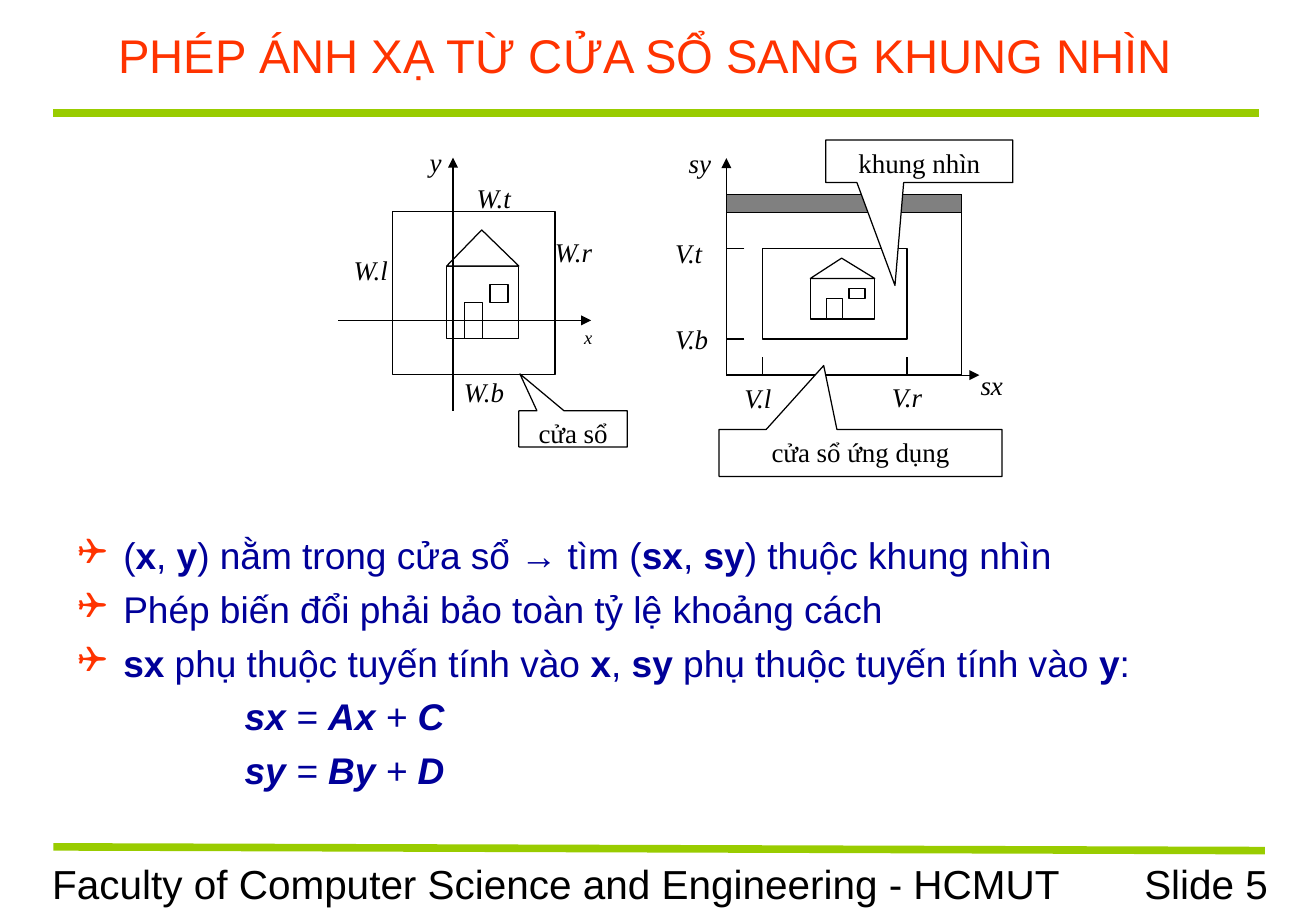
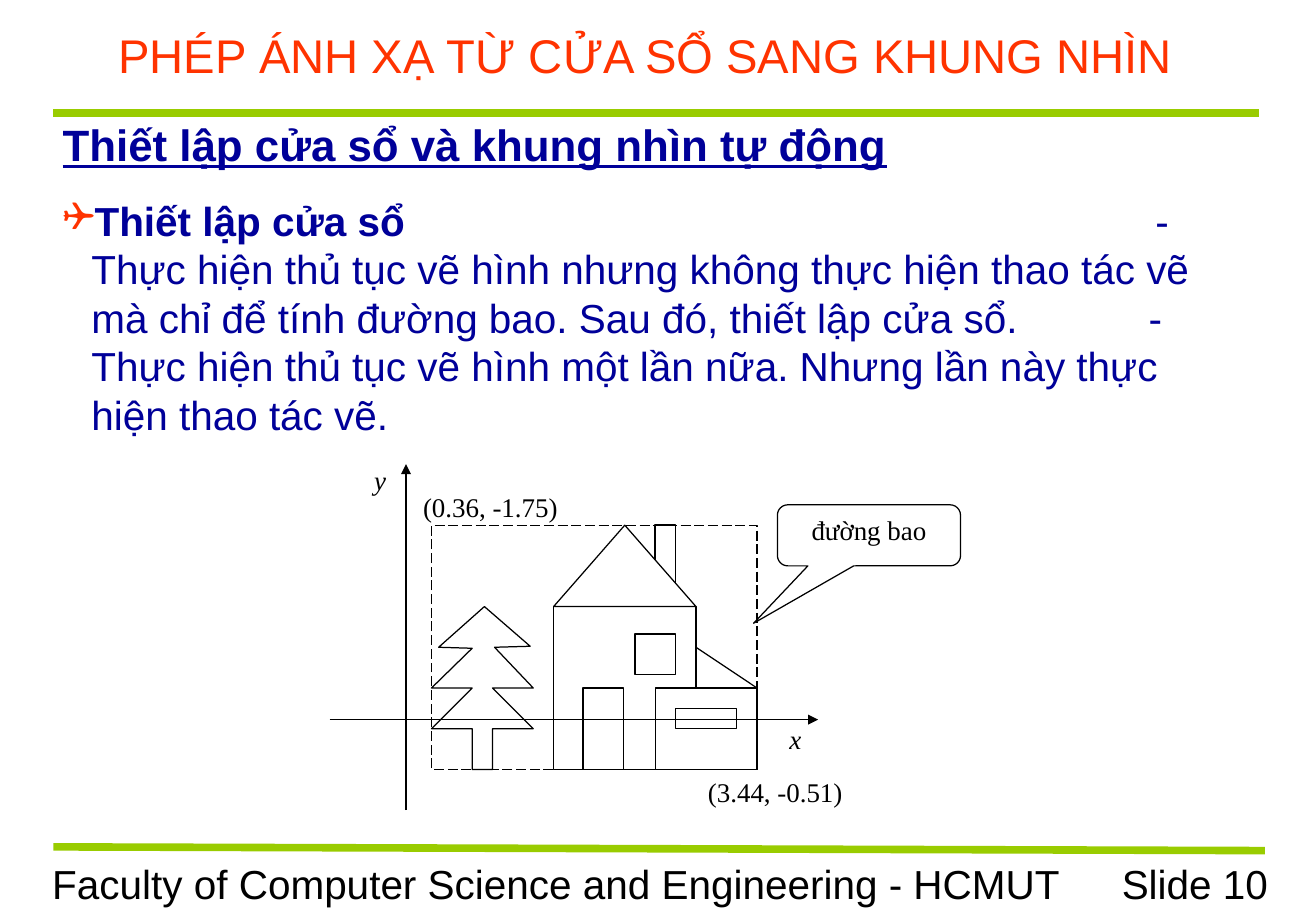
from dataclasses import dataclass
from typing import Any

from lxml.etree import SubElement
from pptx import Presentation
from pptx.dml.color import RGBColor
from pptx.enum.dml import MSO_LINE
from pptx.enum.shapes import MSO_CONNECTOR, MSO_SHAPE as Preset
from pptx.enum.text import MSO_ANCHOR as Anchor, PP_ALIGN as Align
from pptx.oxml.ns import qn
from pptx.util import Pt

COLORS = {
    "title": "FF3300",
    "body": "000099",
    "band": "99CC00",
    "ink": "000000",
    "paper": "FFFFFF",
    "menu": "808080",
}
SANS, SERIF = "Arial", "Times New Roman"
TITLE = "PHÉP ÁNH XẠ TỪ CỬA SỔ SANG KHUNG NHÌN"
FOOTER = "Faculty of Computer Science and Engineering - HCMUT"
INCH = 72
BANDS = [((31.7, 67), (746.6, 67)), ((31.7, 502), (750.2, 504.2))]

MAPPING_POINTS = [
    [("(", ""), ("x", "b"), (", ", ""), ("y", "b"),
     (") nằm trong cửa sổ → tìm (", ""), ("sx", "b"), (", ", ""),
     ("sy", "b"), (") thuộc khung nhìn", "")],
    [("Phép biến đổi phải bảo toàn tỷ lệ khoảng cách", "")],
    [("sx", "b"), (" phụ thuộc tuyến tính vào ", ""), ("x", "b"), (", ", ""),
     ("sy", "b"), (" phụ thuộc tuyến tính vào ", ""), ("y", "b"), (":", "")],
]
EQUATIONS = [
    [("\t\t\t", "i"), ("sx ", "bi"), ("= ", "i"), ("Ax", "bi"), (" + ", "i"), ("C", "bi")],
    [("\t\t\t", "i"), ("sy", "bi"), (" = ", "i"), ("By", "bi"), (" + ", "i"), ("D", "bi")],
]
SETUP_HEADING = "Thiết lập cửa sổ và khung nhìn tự động"
SETUP_STEPS = [
    ("Thiết lập cửa sổ" + "\t" * 8, "b"),
    ("-Thực hiện thủ tục vẽ hình nhưng không thực hiện thao tác vẽ mà chỉ "
     "để tính đường bao. Sau đó, thiết lập cửa sổ.\t\t- Thực hiện thủ tục vẽ "
     "hình một lần nữa. Nhưng lần này thực hiện thao tác vẽ.", ""),
]
TREE = [(3, 12), (3, 10), (5, 10), (3, 8), (5, 8), (3.1, 6), (4.85, 5.95),
        (2.6, 4), (0.35, 6), (2, 6.05), (0, 8), (2, 8), (0, 10), (2, 10), (2, 12)]


def rgb(name):
    """Return the named colour."""
    return RGBColor.from_string(COLORS[name])


def add_spans(para, spans, size, font, color):
    """Add runs given as (text, style letters)."""
    for text, style in spans:
        span = para.add_run()
        span.text = text
        span.font.name, span.font.size = font, Pt(size)
        span.font.color.rgb = rgb(color)
        span.font.bold = "b" in style
        span.font.italic = "i" in style
        span.font.underline = "u" in style


def format_list_para(para, indent, bullet, stops):
    """Give a paragraph a hanging indent, tab stops and perhaps a bullet."""
    props = para._p.get_or_add_pPr()
    props.set("marL", str(Pt(indent)))
    props.set("indent", str(-Pt(indent)))
    if bullet:
        color = SubElement(props, qn("a:buClr"))
        SubElement(color, qn("a:srgbClr"), val=COLORS["title"])
        SubElement(props, qn("a:buFont"), typeface="Wingdings", charset="2")
        SubElement(props, qn("a:buChar"), char="❑")
    else:
        SubElement(props, qn("a:buNone"))
    tabs = SubElement(props, qn("a:tabLst"))
    for stop in stops:
        SubElement(tabs, qn("a:tab"), pos=str(Pt(stop)), algn="l")


def add_text_box(page, left, top, width, height):
    """Add a wrapping text box and return its frame."""
    box = page.shapes.add_textbox(Pt(left), Pt(top), Pt(width), Pt(height))
    box.text_frame.word_wrap = True
    return box.text_frame


def add_line(page, start, end, color="ink", weight=0.75, arrow=False):
    """Add a straight line, with an arrowhead at its end if asked."""
    line = page.shapes.add_connector(
        MSO_CONNECTOR.STRAIGHT, *(Pt(value) for value in (*start, *end)))
    line.line.color.rgb = rgb(color)
    line.line.width = Pt(weight)
    if arrow:
        SubElement(line.line._get_or_add_ln(), qn("a:tailEnd"), type="triangle")
    SubElement(line._element.spPr, qn("a:effectLst"))


def paint(shape, fill="paper"):
    """Give a drawn outline its fill and thin black line."""
    shape.shadow.inherit = False
    shape.fill.solid()
    shape.fill.fore_color.rgb = rgb(fill)
    shape.line.color.rgb = rgb("ink")
    shape.line.width = Pt(0.75)
    return shape


@dataclass
class Grid:
    """A drawing area measured in square units from its top left corner."""
    page: Any
    left: float
    top: float
    unit: float

    def at(self, x, y):
        """Return the point, in points, of a grid position."""
        return self.left + x * self.unit, self.top + y * self.unit

    def shape(self, x, y, width, height, preset=Preset.RECTANGLE, adjust=(), fill="paper"):
        """Draw a preset shape."""
        lengths = (*self.at(x, y), width * self.unit, height * self.unit)
        shape = self.page.shapes.add_shape(preset, *(Pt(v) for v in lengths))
        for index, value in enumerate(adjust):
            shape.adjustments[index] = value
        return paint(shape, fill)

    def line(self, start, end, arrow=False):
        """Draw a line between two grid positions."""
        add_line(self.page, self.at(*start), self.at(*end), arrow=arrow)

    def label(self, text, x, y, width=4, style="i", size=16):
        """Write a label."""
        frame = add_text_box(self.page, *self.at(x, y), width * self.unit, 3 * self.unit)
        add_spans(frame.paragraphs[0], [(text, style)], size, SERIF, "ink")

    def callout(self, text, x, y, width, height, adjust,
                preset=Preset.RECTANGULAR_CALLOUT):
        """Draw a callout with centred text."""
        frame = self.shape(x, y, width, height, preset, adjust).text_frame
        frame.word_wrap = True
        frame.vertical_anchor = Anchor.TOP
        para = frame.paragraphs[0]
        para.alignment = Align.CENTER
        add_spans(para, [(text, "")], 16, SERIF, "ink")

    def outline(self, points):
        """Draw a closed outline through grid positions."""
        corners = [tuple(Pt(v) for v in self.at(*point)) for point in points]
        builder = self.page.shapes.build_freeform(*corners[0])
        builder.add_line_segments(corners[1:], close=True)
        paint(builder.convert_to_shape())


def add_page(deck, number):
    """Add a page with the shared title, bands and footer."""
    page = deck.slides.add_slide(deck.slide_layouts[6])
    for start, end in BANDS:
        add_line(page, start, end, "band", 4.5)
    texts = [
        (TITLE, (24, 7.2, 717.2, 50.4), Align.CENTER, 28, "title"),
        (FOOTER, (23.9, 505.5, 613.4, 36), Align.LEFT, 24, "ink"),
        (f"Slide {number}", (615.8, 505.5, 143.3, 36), Align.RIGHT, 24, "ink"),
    ]
    for text, area, align, size, color in texts:
        frame = add_text_box(page, *area)
        frame.vertical_anchor = Anchor.MIDDLE if text == TITLE else Anchor.TOP
        para = frame.paragraphs[0]
        para.alignment = align
        add_spans(para, [(text, "")], size, SANS, color)
    return page


def draw_small_house(grid, x, y, width, height):
    """Draw a house with roof, door and window in the given grid box."""
    wall = height / 3
    grid.shape(x, y + wall, width, 2 * wall)
    grid.shape(x + width / 4, y + 2 * wall, width / 4, wall)
    grid.shape(x + 0.6 * width, y + height / 2, width / 4, height / 6)
    grid.shape(x, y, width, wall, Preset.ISOSCELES_TRIANGLE, [0.486])


def draw_window(grid):
    """Draw the world window with its axes."""
    for text, x, y in [("W.t", 4, -2), ("W.b", 3.3, 8.7), ("W.l", -2.8, 2),
                       ("W.r", 8.33, 1), ("y", 1.4, -4)]:
        grid.label(text, x, y)
    grid.label("x", 9.95, 6, size=11)
    grid.shape(0, 0, 9, 9)
    draw_small_house(grid, 3, 1, 4, 6)
    grid.line((-3, 6), (11, 6), arrow=True)
    grid.line((3.36, 11), (3.36, -3), arrow=True)
    grid.callout("cửa sổ", 7, 11, 6, 2, [-0.49, -1.52])


def draw_viewport(grid):
    """Draw the application window with the viewport inside it."""
    for text, x, y in [("sy", -2.75, -3), ("sx", 13.4, 9.3), ("V.t", -3.5, 2),
                       ("V.b", -3.5, 6.75), ("V.l", 0.33, 10), ("V.r", 8.5, 9.95)]:
        grid.label(text, x, y)
    grid.line((0, 10), (14, 10), arrow=True)
    grid.line((0, 10), (0, -2), arrow=True)
    grid.shape(0, 0, 13, 10)
    grid.shape(0, 0, 13, 1, fill="menu")
    for x in (2, 10):
        grid.line((x, 10), (x, 9))
    for y in (3, 8):
        grid.line((1, y), (0, y))
    grid.shape(2, 3, 8, 5)
    draw_small_house(grid, 4.65, 3.53, 3.56, 3.36)
    grid.callout("khung nhìn", 5.5, -3, 10.35, 2.35, [-0.13, 2.92])
    grid.callout("cửa sổ ứng dụng", -0.4, 13, 15.65, 2.6, [-0.13, -1.86])


def draw_bounding_scene(grid):
    """Draw the house and tree inside their bounding box."""
    grid.label("(0.36, -1.75)", -1, -2, 9, "")
    grid.label("y", -3.4, -3.3, 2)
    grid.label("x", 17, 9.4, 2)
    grid.shape(0, 0, 16, 12).line.dash_style = MSO_LINE.LONG_DASH
    grid.shape(6, 4, 7, 8)
    grid.shape(11, 0, 1, 4).line.width = Pt(1)
    grid.shape(6, 0, 7, 4, Preset.ISOSCELES_TRIANGLE)
    for part in [(7.45, 8, 2, 4), (10, 5.35, 2, 2), (11, 8, 5, 4), (12, 9, 3, 1)]:
        grid.shape(*part)
    grid.line((13, 6), (16, 8))
    grid.outline(TREE)
    grid.line((-5, 9.55), (19, 9.55), arrow=True)
    grid.line((-1.25, 14), (-1.25, -3), arrow=True)
    grid.label("(3.44, -0.51)", 13, 12, 9, "")
    grid.callout("đường bao", 17, -1, 9, 3, [-0.63, 1.44, 0.17],
                 Preset.ROUNDED_RECTANGULAR_CALLOUT)


def write_mapping(page, left, top, width, height):
    """Write the mapping points and the two equations."""
    frame = add_text_box(page, left, top, width, height)
    stops = [step * INCH for step in range(1, 9)]
    for index, spans in enumerate(MAPPING_POINTS + EQUATIONS):
        para = frame.add_paragraph() if index else frame.paragraphs[0]
        format_list_para(para, 27, index < len(MAPPING_POINTS), stops)
        para.space_before = Pt(5.5 if index else 0)
        add_spans(para, spans, 22, SANS, "body")


def write_setup(page, left, top, width, height):
    """Write the heading and the steps of the window setup."""
    frame = add_text_box(page, left, top, width, height)
    add_spans(frame.paragraphs[0], [(SETUP_HEADING, "bu")], 26, SANS, "body")
    para = frame.add_paragraph()
    indent, last_stop = 17, 661
    stops = [step * INCH - indent for step in range(1, 10)]
    format_list_para(para, indent, True, stops + [last_stop - indent])
    para.space_before = Pt(15)
    add_spans(para, SETUP_STEPS, 24, SANS, "body")


def main():
    """Build and save the deck."""
    deck = Presentation()
    deck.slide_width = Pt(780.48)
    deck.slide_height = Pt(540)

    mapping_page = add_page(deck, 5)
    write_mapping(mapping_page, 39, 312.1, 702, 183.6)
    draw_window(Grid(mapping_page, 232.7, 125.6, 10.72))
    draw_viewport(Grid(mapping_page, 430.8, 115.2, 10.72))

    setup_page = add_page(deck, 10)
    draw_bounding_scene(Grid(setup_page, 255.9, 311.3, 12.07))
    write_setup(setup_page, 30.1, 66.3, 696.2, 197.3)

    deck.save("out.pptx")


if __name__ == "__main__":
    main()
